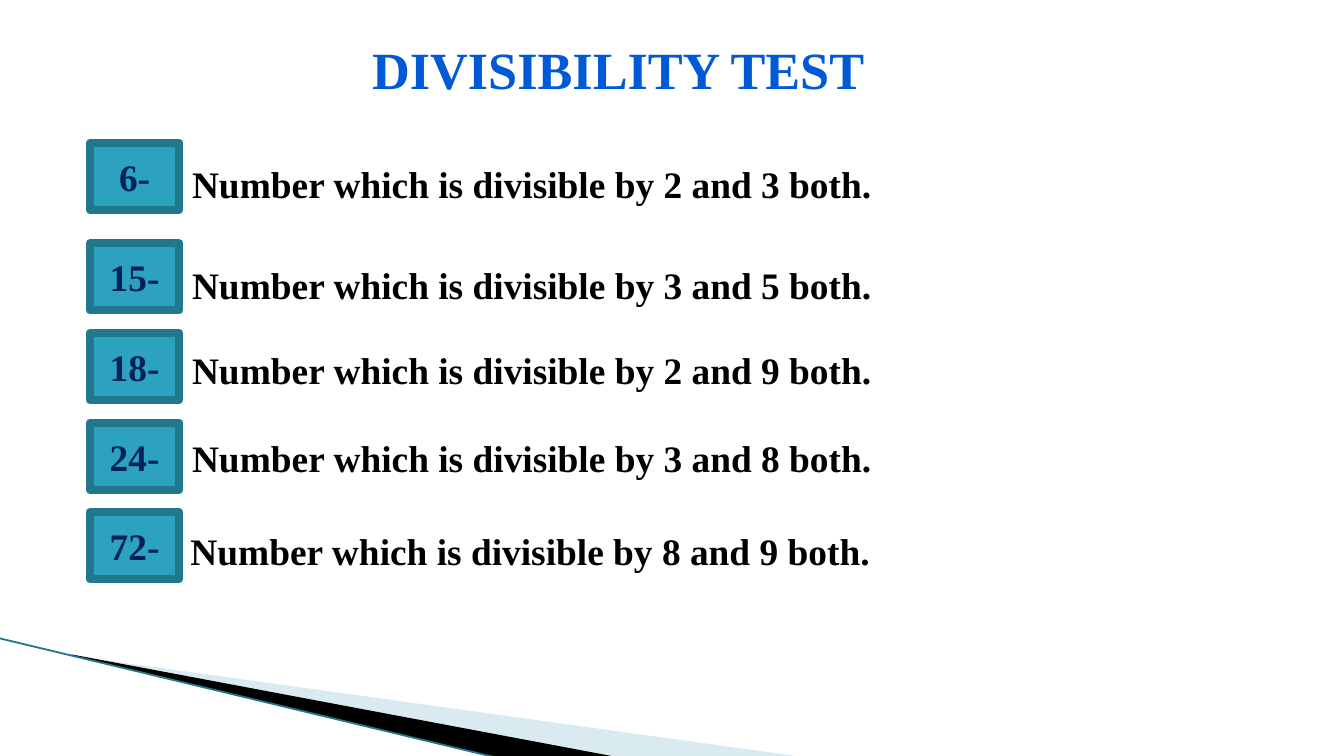
from lxml import etree
from pptx import Presentation
from pptx import util as u
from pptx.dml.color import RGBColor
from pptx.enum import shapes, text
from pptx.oxml.ns import qn

THEME = {
    "label": {"name": "Times New Roman", "size": u.Pt(20), "bold": True, "color": "002060"},
    "rule": {"name": "Times New Roman", "size": u.Pt(20), "bold": True, "color": "000000"},
    "title": {"name": "Times New Roman", "size": u.Pt(28), "bold": True, "color": "005AD6"},
    "box_fill": "2DA2BF",
    "box_line": "21788D",
    "pale": "A0CBDC",
    "dark": "000000",
    "edge": "21788D",
}


def write(sp, words, style, align, anchor, wrap):
    tf = sp.text_frame
    tf.word_wrap = wrap
    tf.vertical_anchor = anchor
    p = tf.paragraphs[0]
    p.alignment = align
    r = p.add_run()
    r.text = words
    for key, value in THEME[style].items():
        if key == "color":
            r.font.color.rgb = RGBColor.from_string(value)
        else:
            setattr(r.font, key, value)


prs = Presentation()
prs.slide_width, prs.slide_height = u.Cm(25.4), u.Cm(14.29)
s = prs.slides.add_slide(prs.slide_layouts[5])

# Corner wedges: a translucent pale one under a dark one
wedges = [
    ("pale", 40, [(1.4, 12.4), (15.11, 14.3), (11.58, 14.3)]),
    ("dark", 100, [(1.35, 12.37), (11.61, 14.3), (9.45, 14.33), (1.37, 12.4)]),
]
for color, opacity, points in wedges:
    corners = [(u.Cm(x), u.Cm(y)) for x, y in points]
    fb = s.shapes.build_freeform(*corners[0])
    fb.add_line_segments(corners[1:], close=True)
    sp = fb.convert_to_shape()
    sp.shadow.inherit = False
    sp.fill.solid()
    sp.fill.fore_color.rgb = RGBColor.from_string(THEME[color])
    sp.line.fill.background()
    if opacity < 100:
        clr = sp.fill._xPr.find(".//" + qn("a:srgbClr"))
        etree.SubElement(clr, qn("a:alpha")).set("val", str(opacity * 1000))

# Thin line along the wedges
line = s.shapes.add_connector(
    shapes.MSO_CONNECTOR.STRAIGHT, u.Cm(-0.03), u.Cm(12.06), u.Cm(9.42), u.Cm(14.33))
line.line.color.rgb = RGBColor.from_string(THEME["edge"])
line.line.width = u.Pt(0.95)
etree.SubElement(line._element.spPr, qn("a:effectLst"))

# Title
title = s.shapes.title
title.left, title.top, title.width, title.height = u.Cm(6.78), u.Cm(0.58), u.Cm(10.13), u.Cm(1.45)
write(title, "DIVISIBILITY TEST", "title", text.PP_ALIGN.LEFT, text.MSO_ANCHOR.TOP, False)

# Rules: number, its two factors, top of the box, left and top of the sentence
rules = [
    (6, 2, 3, 2.7, 3.38, 2.92),
    (15, 3, 5, 4.6, 3.38, 4.83),
    (18, 2, 9, 6.29, 3.38, 6.44),
    (24, 3, 8, 7.99, 3.38, 8.1),
    (72, 8, 9, 9.68, 3.35, 9.86),
]
for number, a, b, box_top, left, top in rules:
    box = s.shapes.add_shape(
        shapes.MSO_SHAPE.RECTANGLE, u.Cm(1.7), u.Cm(box_top), u.Cm(1.69), u.Cm(1.27))
    box.shadow.inherit = False
    box.fill.solid()
    box.fill.fore_color.rgb = RGBColor.from_string(THEME["box_fill"])
    box.line.color.rgb = RGBColor.from_string(THEME["box_line"])
    box.line.width = u.Pt(4.33)
    write(box, f"{number}-", "label", text.PP_ALIGN.CENTER, text.MSO_ANCHOR.MIDDLE, True)

    tb = s.shapes.add_textbox(u.Cm(left), u.Cm(top), u.Cm(13.46), u.Cm(1.11))
    write(tb, f"Number which is divisible by {a} and {b} both.", "rule",
          text.PP_ALIGN.LEFT, text.MSO_ANCHOR.TOP, False)

prs.save("out.pptx")
